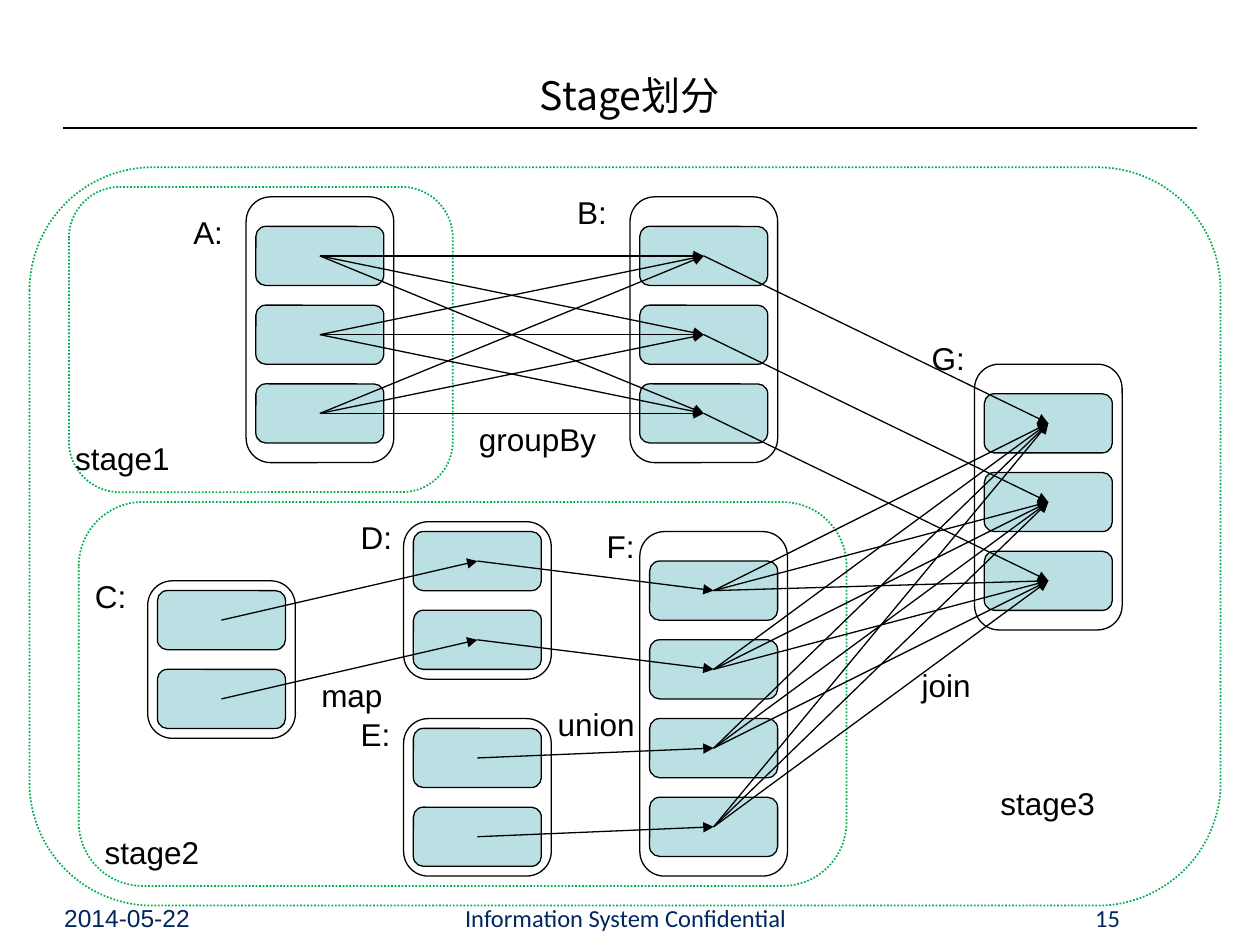
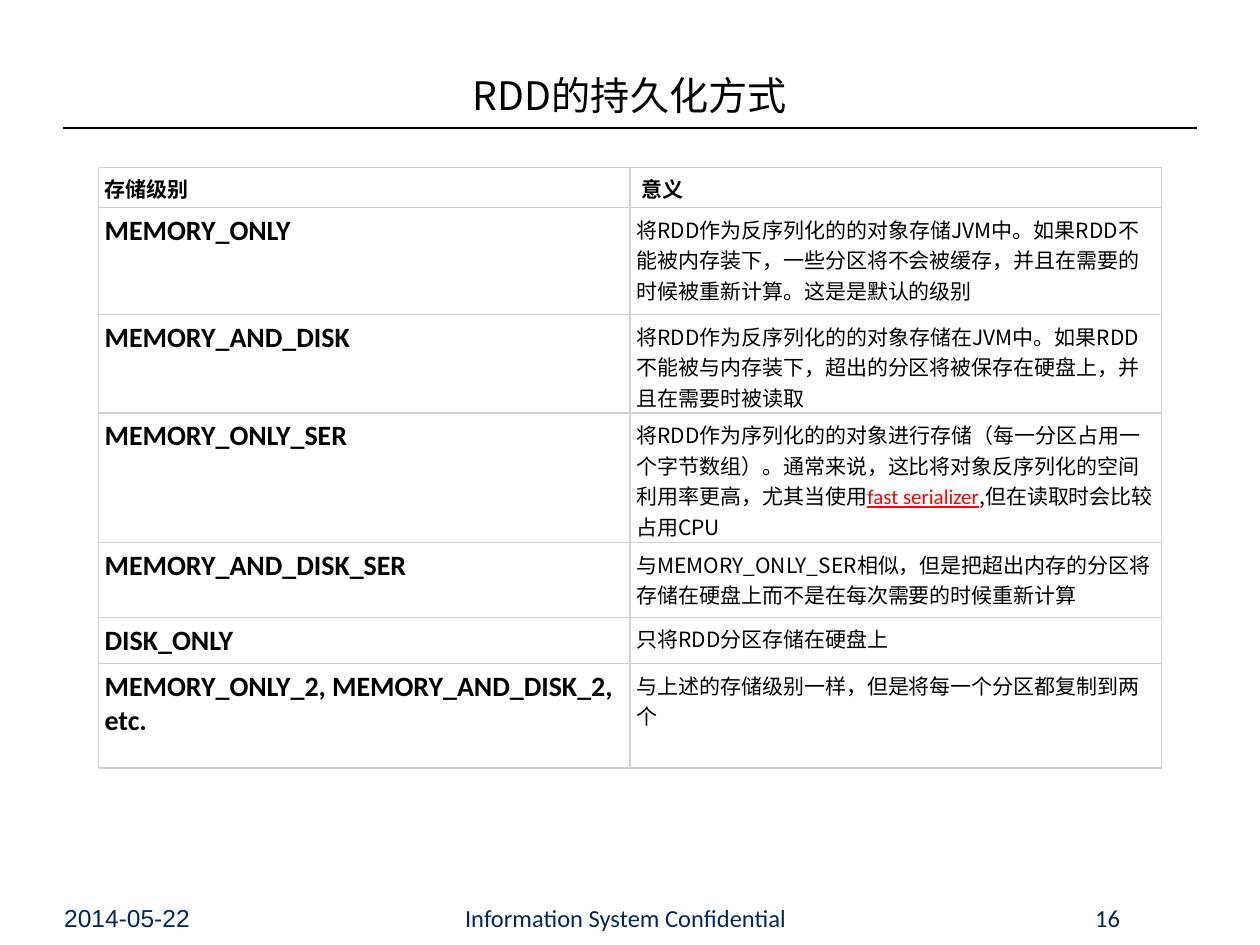
from itertools import product

from lxml.etree import SubElement
from pptx import Presentation
from pptx.dml.color import RGBColor
from pptx.enum.dml import MSO_LINE
from pptx.enum.shapes import MSO_CONNECTOR, MSO_SHAPE
from pptx.enum.text import MSO_ANCHOR, MSO_AUTO_SIZE, PP_ALIGN
from pptx.oxml.ns import qn
from pptx.util import Pt

COLORS = {
    "ink": "000000",
    "footer": "00275E",
    "stage": "00B050",
    "partition": "BBE0E3",
    "grid": "D1D1D1",
    "cell": "FFFFFF",
    "link": "FF0000",
}
CJK = "Noto Sans CJK SC"
LATIN = "Calibri"
LABEL = "Arial"
INSET = 3.6
LINE_WIDTH = 0.75

UNIT = 45 / 8
RDD_WIDTH = 15
PARTITION_WIDTH, PARTITION_HEIGHT, PARTITION_PITCH = 13, 6, 8

STAGES = [(3, 17, 121, 75), (7, 19, 39, 31), (8, 51, 78, 39)]

RDDS = {
    "A": (25, 20, 3, 3),
    "B": (64, 20, 3, 3),
    "C": (15, 59, 2, 1),
    "D": (41, 53, 2, 1),
    "E": (41, 73, 2, 1),
    "F": (65, 54, 4, 3),
    "G": (99, 37, 3, 3),
}

LABELS = [
    ("stage1", 7, 44, 15), ("stage2", 10, 84, 22), ("stage3", 101, 79, 18),
    ("map", 32, 68, 9), ("union", 56, 71, 12), ("join", 93, 67, 10),
    ("groupBy", 48, 42, 20),
    ("A:", 19, 21, 5), ("B:", 58, 19, 5), ("C:", 9, 58, 5), ("D:", 36, 52, 5),
    ("E:", 36, 72, 5), ("F:", 61, 52.9, 5), ("G:", 94, 33.8, 7),
]

ROW_HEIGHTS = [23, 61.2, 56.2, 74.2, 42.5, 23, 59.8]
STORAGE_LEVELS = [
    ("存储级别", [" 意义"]),
    ("MEMORY_ONLY", ["将RDD作为反序列化的的对象存储JVM中。如果RDD不能被内存装下，"
                     "一些分区将不会被缓存，并且在需要的时候被重新计算。这是是默认的级别"]),
    ("MEMORY_AND_DISK", ["将RDD作为反序列化的的对象存储在JVM中。如果RDD不能被与内存装下，"
                         "超出的分区将被保存在硬盘上，并且在需要时被读取"]),
    ("MEMORY_ONLY_SER", ["将RDD作为序列化的的对象进行存储（每一分区占用一个字节数组）。通常来说，"
                         "这比将对象反序列化的空间利用率更高，尤其当使用",
                         "fast serializer", ",但在读取时会比较占用CPU"]),
    ("MEMORY_AND_DISK_SER", ["与MEMORY_ONLY_SER相似，但是把超出内存的分区将存储在硬盘上"
                             "而不是在每次需要的时候重新计算"]),
    ("DISK_ONLY", ["只将RDD分区存储在硬盘上"]),
    ("MEMORY_ONLY_2, MEMORY_AND_DISK_2, etc.",
     ["与上述的存储级别一样，但是将每一个分区都复制到两个"]),
]


def rgb(name):
    return RGBColor.from_string(COLORS[name])


def format_run(run, size, font_name, color="ink", bold=False):
    run.font.size = Pt(size)
    run.font.name = font_name
    run.font.bold = bold
    run.font.color.rgb = rgb(color)
    SubElement(run._r.get_or_add_rPr(), qn("a:ea")).set("typeface", CJK)


def set_insets(text_frame):
    text_frame.margin_left = text_frame.margin_right = Pt(INSET)
    text_frame.margin_top = text_frame.margin_bottom = Pt(INSET)


def add_text(slide, text, left, top, width, height, size, font_name,
             color="ink", alignment=PP_ALIGN.LEFT, wrap=True):
    box = slide.shapes.add_textbox(Pt(left), Pt(top), Pt(width), Pt(height))
    text_frame = box.text_frame
    set_insets(text_frame)
    text_frame.word_wrap = wrap
    text_frame.text = text
    paragraph = text_frame.paragraphs[0]
    paragraph.alignment = alignment
    format_run(paragraph.runs[0], size, font_name, color)


def add_line(slide, start, end, arrow=False):
    connector = slide.shapes.add_connector(
        MSO_CONNECTOR.STRAIGHT, *(Pt(value) for value in (*start, *end)))
    connector.line.color.rgb = rgb("ink")
    connector.line.width = Pt(LINE_WIDTH)
    if arrow:
        line = connector.line._get_or_add_ln()
        SubElement(line, qn("a:tailEnd")).set("type", "triangle")
    SubElement(connector._element.spPr, qn("a:effectLst"))


def add_round_box(slide, left, top, width, height, fill=None,
                  line="ink", line_width=LINE_WIDTH):
    shape = slide.shapes.add_shape(
        MSO_SHAPE.ROUNDED_RECTANGLE,
        *(Pt(value * UNIT) for value in (left, top, width, height)))
    shape.shadow.inherit = False
    if fill:
        shape.fill.solid()
        shape.fill.fore_color.rgb = rgb(fill)
    else:
        shape.fill.background()
    shape.line.color.rgb = rgb(line)
    shape.line.width = Pt(line_width)
    return shape


def add_stage(slide, bounds):
    stage = add_round_box(slide, *bounds, line="stage", line_width=1)
    stage.line.dash_style = MSO_LINE.ROUND_DOT


def add_rdd(slide, left, top, count, head):
    height = count * PARTITION_PITCH + (head if head > 1 else 0)
    add_round_box(slide, left, top, RDD_WIDTH, height)
    centers = []
    for index in range(count):
        partition_top = top + head + index * PARTITION_PITCH
        add_round_box(slide, left + 1, partition_top, PARTITION_WIDTH,
                      PARTITION_HEIGHT, fill="partition")
        centers.append(((left + RDD_WIDTH / 2) * UNIT,
                        (partition_top + PARTITION_HEIGHT / 2) * UNIT))
    return centers


def add_base_slide(presentation, title_text, number):
    slide = presentation.slides.add_slide(presentation.slide_layouts[5])
    title = slide.shapes.title
    title.left, title.top, title.width, title.height = Pt(36.7), Pt(37.4), Pt(646.6), Pt(33.1)
    text_frame = title.text_frame
    set_insets(text_frame)
    text_frame.auto_size = MSO_AUTO_SIZE.NONE
    text_frame.vertical_anchor = MSO_ANCHOR.MIDDLE
    text_frame.text = title_text
    text_frame.paragraphs[0].alignment = PP_ALIGN.CENTER
    format_run(text_frame.paragraphs[0].runs[0], 22.4, CJK)
    add_line(slide, (36, 73.2), (684, 73.2))
    footers = [
        ("Information System Confidential", 223.9, 267.1, LATIN, PP_ALIGN.CENTER, True),
        ("2014-05-22", 33.1, 101.5, LABEL, PP_ALIGN.LEFT, True),
        (str(number), 621.4, 23, LATIN, PP_ALIGN.CENTER, False),
    ]
    for text, left, width, font_name, alignment, wrap in footers:
        add_text(slide, text, left, 512.6, width, 23, 14, font_name,
                 "footer", alignment, wrap)
    return slide


def add_stage_slide(presentation):
    slide = add_base_slide(presentation, "Stage划分", 15)
    for bounds in STAGES:
        add_stage(slide, bounds)
    centers = {name: add_rdd(slide, *rdd) for name, rdd in RDDS.items()}
    dependencies = [
        *zip(centers["C"], centers["D"]),
        *zip(centers["D"] + centers["E"], centers["F"]),
        *product(centers["F"], centers["G"]),
        *zip(centers["B"], centers["G"]),
        *product(centers["A"], centers["B"]),
    ]
    for start, end in dependencies:
        add_line(slide, start, end, arrow=True)
    for text, left, top, width in LABELS:
        add_text(slide, text, left * UNIT, top * UNIT, width * UNIT, 27.4, 18, LABEL)


def style_cell(cell):
    cell.margin_left = cell.margin_right = Pt(INSET)
    cell.margin_top = cell.margin_bottom = Pt(INSET)
    properties = cell._tc.get_or_add_tcPr()
    for side in ("lnL", "lnR", "lnT", "lnB"):
        border = SubElement(properties, qn(f"a:{side}"), w=str(Pt(LINE_WIDTH)))
        fill = SubElement(border, qn("a:solidFill"))
        SubElement(fill, qn("a:srgbClr")).set("val", COLORS["grid"])
    cell.fill.solid()
    cell.fill.fore_color.rgb = rgb("cell")


def add_storage_slide(presentation):
    slide = add_base_slide(presentation, "RDD的持久化方式", 16)
    table = slide.shapes.add_table(
        len(STORAGE_LEVELS), 2, Pt(56.2), Pt(95.6), Pt(607.6),
        Pt(sum(ROW_HEIGHTS))).table
    table.first_row = table.horz_banding = False
    for row_index, (level, meaning) in enumerate(STORAGE_LEVELS):
        table.rows[row_index].height = Pt(ROW_HEIGHTS[row_index])
        header = row_index == 0
        for column_index, texts in enumerate(([level], meaning)):
            cell = table.cell(row_index, column_index)
            style_cell(cell)
            is_level = column_index == 0 and not header
            for text in texts:
                run = cell.text_frame.paragraphs[0].add_run()
                run.text = text
                if text == "fast serializer":
                    format_run(run, 12, LATIN, "link")
                    run.font.underline = True
                else:
                    format_run(run, 16 if is_level else 12,
                               LATIN if is_level else CJK, bold=is_level or header)


def main():
    presentation = Presentation()
    presentation.slide_width, presentation.slide_height = Pt(720), Pt(540)
    add_stage_slide(presentation)
    add_storage_slide(presentation)
    presentation.save("out.pptx")


if __name__ == "__main__":
    main()
